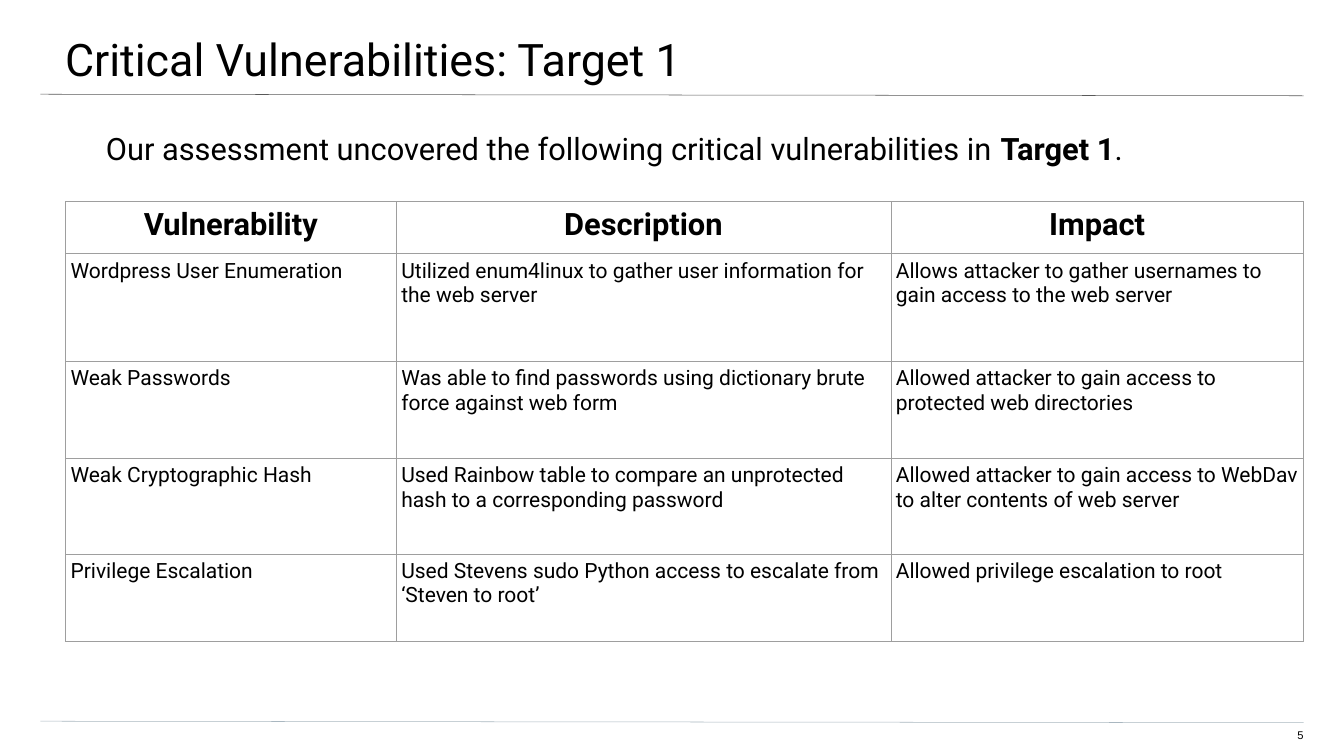
from lxml.etree import SubElement
from pptx import Presentation
from pptx.dml.color import RGBColor
from pptx.enum.shapes import MSO_CONNECTOR
from pptx.enum.text import MSO_ANCHOR, MSO_AUTO_SIZE, PP_ALIGN
from pptx.oxml.ns import qn
from pptx.util import Inches, Pt

HEAD = ["Vulnerability", "Description", "Impact"]
ROWS = [
    ["Wordpress User Enumeration",
     "Utilized enum4linux to gather user information for the web server",
     "Allows attacker to gather usernames to gain access to the web server"],
    ["Weak Passwords",
     "Was able to find passwords using dictionary brute force against web form",
     "Allowed attacker to gain access to protected web directories"],
    ["Weak Cryptographic Hash",
     "Used Rainbow table to compare an unprotected hash to a corresponding password",
     "Allowed attacker to gain access to WebDav to alter contents of web server"],
    ["Privilege Escalation",
     "Used Stevens sudo Python access to escalate from ‘Steven to root’",
     "Allowed privilege escalation to root"],
]
WIDTHS = [6.56, 9.81, 8.19]
HEIGHTS = [1.03, 2.14, 1.92, 1.9, 1.74]


def color(code):
    return RGBColor.from_string(code)


class Deck:
    face = "Roboto"
    ink = "000000"
    grid = "9E9E9E"
    thin = Pt(0.75)

    def __init__(self, slide):
        self.slide = slide

    def style(self, run, size, bold=False, face=None):
        run.font.name = face or self.face
        run.font.size = Pt(size)
        run.font.bold = bold
        run.font.color.rgb = color(self.ink)

    def frame(self, shape, box, pad):
        shape.left, shape.top, shape.width, shape.height = map(Inches, box)
        frame = shape.text_frame
        frame.word_wrap = True
        frame.auto_size = MSO_AUTO_SIZE.NONE
        frame.vertical_anchor = MSO_ANCHOR.TOP
        (frame.margin_left, frame.margin_top,
         frame.margin_right, frame.margin_bottom) = map(Inches, pad)
        return frame

    def title(self, text, box, pad, size):
        frame = self.frame(self.slide.shapes.title, box, pad)
        frame.text = text
        para = frame.paragraphs[0]
        para.alignment = PP_ALIGN.LEFT
        para.line_spacing = 1.1
        self.style(para.runs[0], size)

    def text(self, parts, box, pad, size, face=None, align=PP_ALIGN.LEFT, lead=1.0):
        shape = self.slide.shapes.add_textbox(*map(Inches, box))
        para = self.frame(shape, box, pad).paragraphs[0]
        para.alignment = align
        para.line_spacing = lead
        for words, bold in parts:
            run = para.add_run()
            run.text = words
            self.style(run, size, bold, face)

    def rule(self, top, code):
        ends = map(Inches, (0.8, top, 25.86, top + 0.03))
        line = self.slide.shapes.add_connector(MSO_CONNECTOR.STRAIGHT, *ends)
        line.line.color.rgb = color(code)
        line.line.width = self.thin
        SubElement(line._element.spPr, qn("a:effectLst"))

    def border(self, cell):
        props = cell._tc.get_or_add_tcPr()
        for side in ("lnL", "lnR", "lnT", "lnB"):
            edge = SubElement(props, qn(f"a:{side}"), w=str(self.thin))
            fill = SubElement(edge, qn("a:solidFill"))
            SubElement(fill, qn("a:srgbClr"), val=self.grid)

    def cell(self, cell, text, size, head):
        self.border(cell)
        cell.fill.background()
        cell.margin_left = cell.margin_right = Inches(0.1)
        cell.margin_top = cell.margin_bottom = Inches(0.1)
        cell.text_frame.text = text
        para = cell.text_frame.paragraphs[0]
        para.alignment = PP_ALIGN.CENTER if head else PP_ALIGN.LEFT
        self.style(para.runs[0], size, head)

    def table(self, data, left, top, widths, heights):
        box = map(Inches, (left, top, sum(widths), sum(heights)))
        table = self.slide.shapes.add_table(len(data), len(widths), *box).table
        table.first_row = table.horz_banding = False
        for col, width in zip(table.columns, widths):
            col.width = Inches(width)
        for r, (texts, height) in enumerate(zip(data, heights)):
            table.rows[r].height = Inches(height)
            for c, text in enumerate(texts):
                self.cell(table.cell(r, c), text, 30 if r else 44, r == 0)


def main():
    show = Presentation()
    show.slide_width, show.slide_height = Inches(26.66), Inches(15)
    deck = Deck(show.slides.add_slide(show.slide_layouts[5]))

    # Rules under the title and above the footer
    deck.rule(1.87, "595959")
    deck.rule(14.31, "A9B7C0")

    # Title and page number
    deck.title("Critical Vulnerabilities: Target 1",
               (-0.04, 0, 26.73, 1.56), (1.33, 0.53, 0.8, 0.27), 64)
    deck.text([("5", False)], (25.1, 14.46, 0.76, 0.31), (0, 0, 0, 0.27),
              16, "Arial", PP_ALIGN.RIGHT)

    # Lead sentence
    deck.text([("Our assessment uncovered the following critical vulnerabilities in ", False),
               ("Target 1", True), (".", False)],
              (0.77, 2.51, 25.09, 10.79), (1.33, 0, 1.33, 2.67), 44, lead=1.1)

    # Findings table
    deck.table([HEAD] + ROWS, 1.3, 4, WIDTHS, HEIGHTS)

    show.save("out.pptx")


if __name__ == "__main__":
    main()
